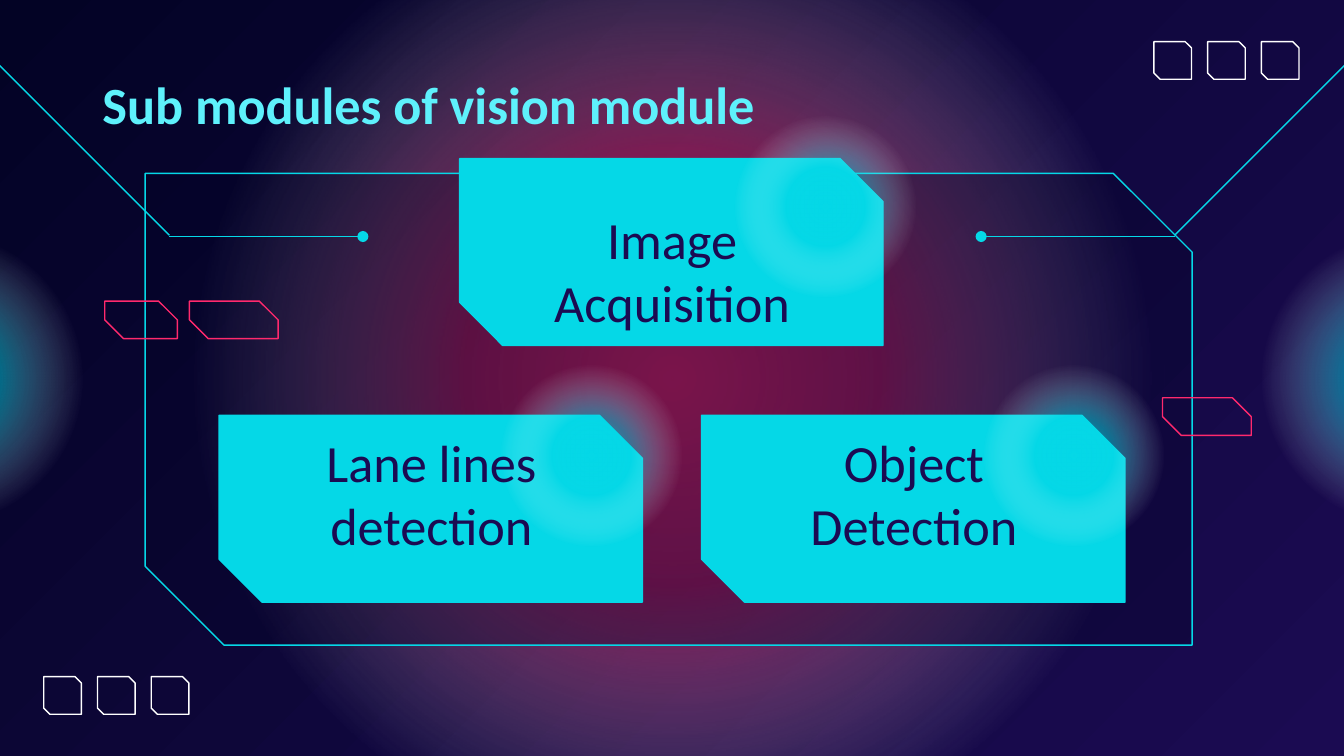
from pptx import Presentation
from pptx.dml.color import RGBColor
from pptx.enum.shapes import MSO_CONNECTOR as Conn, MSO_SHAPE as Kind
from pptx.enum.text import MSO_ANCHOR as Anchor, PP_ALIGN as Align
from pptx.oxml import parse_xml
from pptx.oxml.ns import nsdecls, qn
from pptx.util import Inches, Pt
from lxml.etree import SubElement

NAVY = RGBColor(0x03, 0x03, 0x25)
INDIGO = RGBColor(0x1B, 0x0B, 0x52)
CYAN = RGBColor(0x05, 0xD8, 0xE7)
AQUA = RGBColor(0x5E, 0xF1, 0xFC)
PINK = RGBColor(0xFF, 0x29, 0x6D)
WHITE = RGBColor(0xFF, 0xFF, 0xFF)

COLS = 100
WIDE = Inches(10)
HIGH = WIDE * 9 // 16
CELL = WIDE / COLS


def grid(*cells):
    return [round(c * CELL) for c in cells]


def write(frame, text, size=28, color=INDIGO, bold=False, align=Align.CENTER,
          anchor=Anchor.TOP):
    frame.word_wrap = True
    frame.vertical_anchor = anchor
    frame.margin_left = frame.margin_right = Inches(0.1)
    frame.margin_top = frame.margin_bottom = Inches(0.1)
    para = frame.paragraphs[0]
    para.alignment = align
    run = para.add_run()
    run.text = text
    font = run.font
    font.name, font.size, font.bold = "Calibri", Pt(size), bold
    font.color.rgb = color


class Board:
    thin = Pt(0.75)

    def __init__(self, deck):
        self.slide = deck.slides.add_slide(deck.slide_layouts[6])
        self.shapes = self.slide.shapes

    def back(self, start, end):
        fill = self.slide.background.fill
        fill.gradient()
        fill.gradient_angle = 315
        for stop, color, place in zip(fill.gradient_stops, (start, end), (0, 1)):
            stop.color.rgb = color
            stop.position = place

    def glow(self, x, y, size, color, alphas):
        disc = self.shapes.add_shape(Kind.OVAL, *grid(x, y, size, size))
        disc.shadow.inherit = False
        disc.line.fill.background()
        disc.fill.background()
        tones = zip((0, 30, 69, 100), (color, color, WHITE, WHITE), (*alphas, 0, 0))
        stops = "".join(
            f'<a:gs pos="{place * 1000}"><a:srgbClr val="{tone}">'
            f'<a:alpha val="{alpha * 1000}"/></a:srgbClr></a:gs>'
            for place, tone, alpha in tones)
        props = disc._element.spPr
        props.replace(props.find(qn("a:noFill")), parse_xml(
            f'<a:gradFill {nsdecls("a")}><a:gsLst>{stops}</a:gsLst>'
            '<a:path path="circle"><a:fillToRect l="50000" t="50000" '
            'r="50000" b="50000"/></a:path></a:gradFill>'))

    def snip(self, x, y, w, h, line, cut, fill=None, alpha=100):
        box = self.shapes.add_shape(Kind.SNIP_2_DIAG_RECTANGLE, *grid(x, y, w, h))
        box.shadow.inherit = False
        box.adjustments[0], box.adjustments[1] = 0, cut
        box.line.color.rgb, box.line.width = line, self.thin
        if fill is None:
            box.fill.background()
            return
        box.fill.solid()
        box.fill.fore_color.rgb = fill
        if alpha < 100:
            tone = box._element.spPr.find(qn("a:solidFill"))[0]
            SubElement(tone, qn("a:alpha")).set("val", str(alpha * 1000))

    def wire(self, start, end, dot=False):
        line = self.shapes.add_connector(Conn.STRAIGHT, *grid(*start, *end))
        line.line.color.rgb, line.line.width = CYAN, self.thin
        if dot:
            SubElement(line.line._get_or_add_ln(), qn("a:tailEnd")).set("type", "oval")
        SubElement(line._element.spPr, qn("a:effectLst"))

    def text(self, x, y, w, h, words, **style):
        write(self.shapes.add_textbox(*grid(x, y, w, h)).text_frame, words, **style)


def main():
    deck = Presentation()
    deck.slide_width, deck.slide_height = WIDE, HIGH
    board = Board(deck)
    soft = (71, 48)

    board.back(NAVY, INDIGO)
    board.glow(13.5, -8.4, 73.1, PINK, (67, 49))
    for x in (-15.9, 93.6):
        board.glow(x, 17, 22.3, CYAN, soft)
    board.snip(10.8, 12.9, 77.9, 35.1, CYAN, 0.167, NAVY, 31)

    cards = [
        ("Image Acquisition", 34.2, 11.8, (20.3, -3.3), 2.6),
        ("Object Detection", 52.2, 30.9, (20.8, -3.9), 0.1),
        ("Lane lines detection", 16.3, 30.9, (20.8, -3.9), 0.1),
    ]
    for _, x, y, _, _ in cards:
        board.snip(x, y, 31.5, 13.9, CYAN, 0.23, CYAN)

    for side in (lambda x: x, lambda x: COLS - x):
        board.wire((side(-0.4), 4.5), (side(12.6), 17.5))
        board.wire((side(12.6), 17.6), (side(27), 17.6), dot=True)

    for x, y, w in ((7.8, 22.4, 5.4), (14.1, 22.4, 6.6), (86.5, 29.6, 6.6)):
        board.snip(x, y, w, 2.8, PINK, 0.5)

    for _, x, y, (dx, dy), _ in cards:
        board.glow(x + dx, y + dy, 13.8, CYAN, soft)
    for words, x, y, _, drop in cards:
        board.text(x + 2.3, y + drop, 27, 12.8 - drop, words)

    for x, y in ((3.25, 50.35), (85.85, 3.1)):
        for i in range(3):
            board.snip(x + 4 * i, y, 2.8, 2.8, WHITE, 0.167)

    board.text(3.6, 4.7, 53.5, 6, "Sub modules of vision module", color=AQUA,
               bold=True, align=Align.RIGHT, anchor=Anchor.MIDDLE)
    deck.save("out.pptx")


if __name__ == "__main__":
    main()
